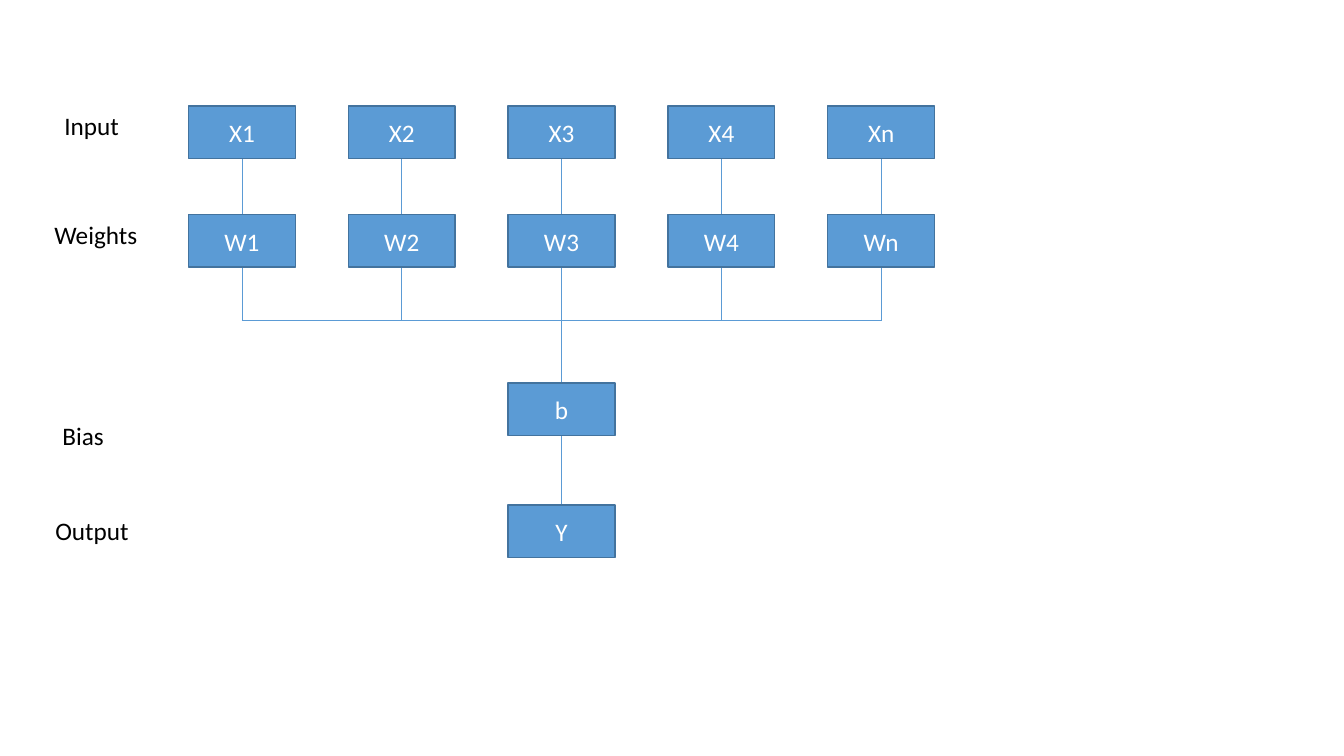
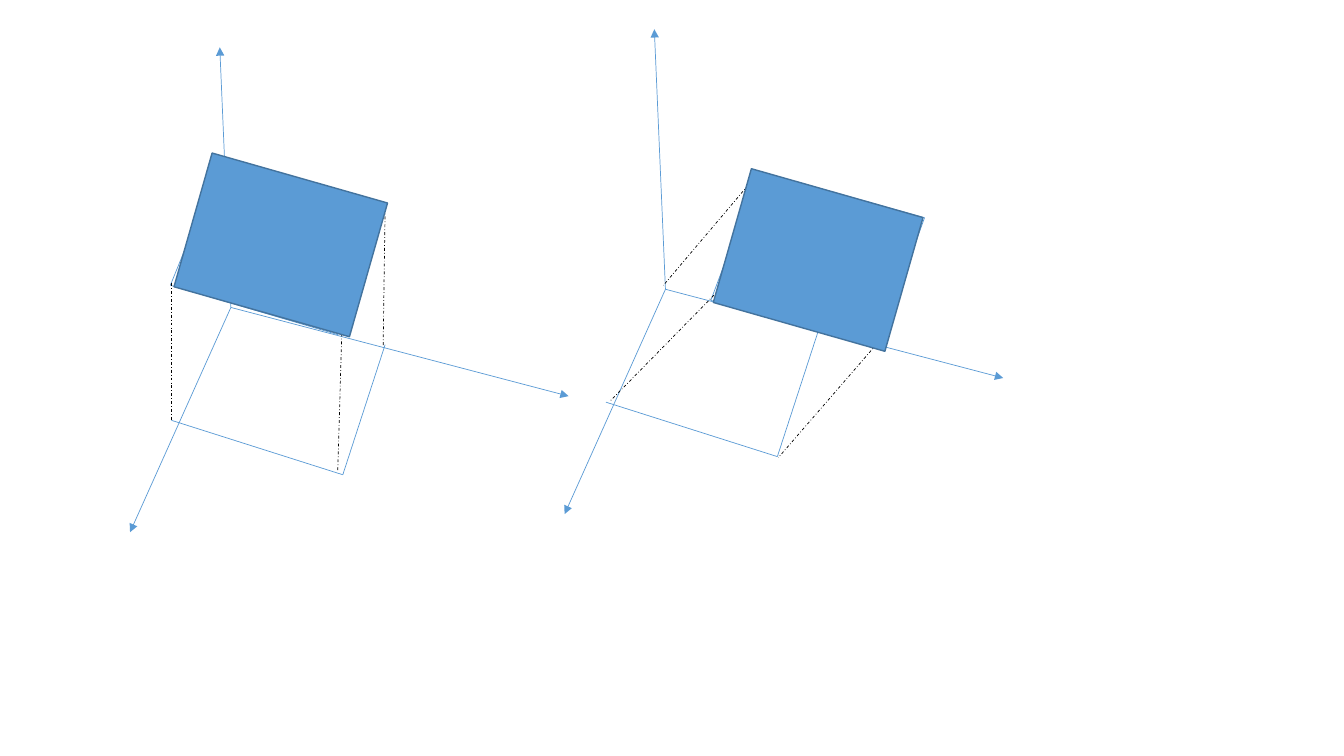
import itertools

import pptx
import pptx.dml.color
import pptx.enum.dml
import pptx.enum.shapes
import pptx.enum.text
import pptx.oxml.ns
import pptx.util
from lxml import etree
from pptx.util import Inches

COLORS = {"fill": "5B9BD5", "edge": "43739E", "line": "5B9BD5",
          "dash": "000000", "label": "000000", "node": "FFFFFF"}
FONT = {"name": "Calibri", "size": pptx.util.Pt(18)}
NODE_TEXT = {"word_wrap": True, "vertical_anchor": pptx.enum.text.MSO_ANCHOR.MIDDLE}
LABEL_TEXT = {"word_wrap": True, "auto_size": pptx.enum.text.MSO_AUTO_SIZE.SHAPE_TO_FIT_TEXT}

# Network diagram
NODE_W, NODE_H, PITCH = 1.06, 0.52, 1.585
INDICES = ["1", "2", "3", "4", "n"]
INPUT_Y, WEIGHT_Y, BUS_Y, BIAS_Y, OUTPUT_Y = 0, 1.08, 2.13, 2.75, 3.96
ROW_LABELS = [("Input", 0.54, 1.05, 0.86), ("Weights", 0.44, 2.13, 1.07),
              ("Bias", 0.52, 4.12, 0.86), ("Output", 0.45, 5.06, 1.05)]

# Projection diagrams: every point is an offset from the origin of the axes
AXIS_TIPS = [(-1, 2.23), (-0.11, -2.58), (3.35, 0.88)]
BASE = [(-0.59, 1.12), (1.11, 1.66), (1.53, 0.37)]
PLANE_TILT = 15.9
VERTICAL = {
    "outline": [(-0.1, -1.45), (-0.6, -0.22), (1.06, 0.27), (1.53, -0.99)],
    "rays": [((-0.59, -0.24), (-0.59, 1.12)), ((1.1, 0.26), (1.06, 1.62)),
             ((1.53, -0.98), (1.51, 0.39))],
    "plane": (-0.41, -1.31, 1.81, 1.38),
}
OBLIQUE = {
    "outline": [(0.93, -1.17), (0.45, 0.11), (2.11, 0.57), (2.57, -0.71)],
    "rays": [((0.48, 0.06), (-0.55, 1.11)), ((2.09, 0.55), (1.12, 1.67)),
             ((0.92, -1.15), (-0.02, -0.04)), ((2.52, -0.7), (1.54, 0.42))],
    "plane": (0.63, -0.98, 1.77, 1.38),
}


def rgb(role):
    return pptx.dml.color.RGBColor.from_string(COLORS[role])


def apply(target, values):
    for name, value in values.items():
        setattr(target, name, value)


def write(shape, text, role, frame_format, align):
    frame = shape.text_frame
    apply(frame, frame_format)
    paragraph = frame.paragraphs[0]
    paragraph.alignment = align
    run = paragraph.add_run()
    run.text = text
    apply(run.font, FONT)
    run.font.color.rgb = rgb(role)


def add_box(slide, left, top, width, height, text="", tilt=0):
    box = slide.shapes.add_shape(pptx.enum.shapes.MSO_SHAPE.RECTANGLE, Inches(left),
                                 Inches(top), Inches(width), Inches(height))
    box.shadow.inherit = False
    box.rotation = tilt
    box.fill.solid()
    box.fill.fore_color.rgb = rgb("fill")
    box.line.color.rgb = rgb("edge")
    box.line.width = pptx.util.Pt(1)
    if text:
        write(box, text, "node", NODE_TEXT, pptx.enum.text.PP_ALIGN.CENTER)


def add_label(slide, text, left, top, width):
    label = slide.shapes.add_textbox(Inches(left), Inches(top), Inches(width), Inches(0.4))
    write(label, text, "label", LABEL_TEXT, pptx.enum.text.PP_ALIGN.LEFT)


def add_line(slide, start, end, role="line", arrow=False):
    connector = slide.shapes.add_connector(pptx.enum.shapes.MSO_CONNECTOR.STRAIGHT,
                                           *(Inches(v) for v in (*start, *end)))
    connector.line.color.rgb = rgb(role)
    connector.line.width = pptx.util.Pt(0.5)
    if role == "dash":
        connector.line.dash_style = pptx.enum.dml.MSO_LINE.DASH_DOT
    qn = pptx.oxml.ns.qn
    properties = connector.line._get_or_add_ln().getparent()
    if arrow:
        etree.SubElement(connector.line._get_or_add_ln(), qn("a:tailEnd"), type="triangle")
    etree.SubElement(properties, qn("a:effectLst"))


def draw_network(slide, left, top):
    centers = [left + NODE_W / 2 + i * PITCH for i in range(len(INDICES))]
    middle = centers[len(centers) // 2]

    def node(text, center, y):
        add_box(slide, center - NODE_W / 2, top + y, NODE_W, NODE_H, text)

    def link(center, y_from, y_to):
        add_line(slide, (center, top + y_from), (center, top + y_to))

    # Input and weight columns
    for index, center in zip(INDICES, centers):
        link(center, INPUT_Y + NODE_H, WEIGHT_Y)
        link(center, WEIGHT_Y + NODE_H, BUS_Y)
        node("X" + index, center, INPUT_Y)
        node("W" + index, center, WEIGHT_Y)

    # Sum line, bias and output
    add_line(slide, (centers[0], top + BUS_Y), (centers[-1], top + BUS_Y))
    link(middle, BUS_Y, BIAS_Y)
    link(middle, BIAS_Y + NODE_H, OUTPUT_Y)
    node("b", middle, BIAS_Y)
    node("Y", middle, OUTPUT_Y)


def draw_projection(slide, x, y, parts):
    def line(start, end, **style):
        add_line(slide, (x + start[0], y + start[1]), (x + end[0], y + end[1]), **style)

    # Axes
    for tip in AXIS_TIPS:
        line((0, 0), tip, arrow=True)
    # Projected base and outline of the plane
    outline = parts["outline"]
    for start, end in itertools.chain(itertools.pairwise(BASE),
                                      itertools.pairwise(outline + outline[:1])):
        line(start, end)
    # Projection rays
    for start, end in parts["rays"]:
        line(start, end, role="dash")
    # Tilted plane
    left, top, width, height = parts["plane"]
    add_box(slide, x + left, y + top, width, height, tilt=PLANE_TILT)


def main():
    deck = pptx.Presentation()
    apply(deck, {"slide_width": Inches(13.33), "slide_height": Inches(7.5)})
    blank = deck.slide_layouts[6]

    network = deck.slides.add_slide(blank)
    draw_network(network, 1.87, 1.05)
    for row_label in ROW_LABELS:
        add_label(network, *row_label)

    projections = deck.slides.add_slide(blank)
    draw_projection(projections, 2.29, 3.05, VERTICAL)
    draw_projection(projections, 6.6, 2.87, OBLIQUE)

    deck.save("out.pptx")


if __name__ == "__main__":
    main()
